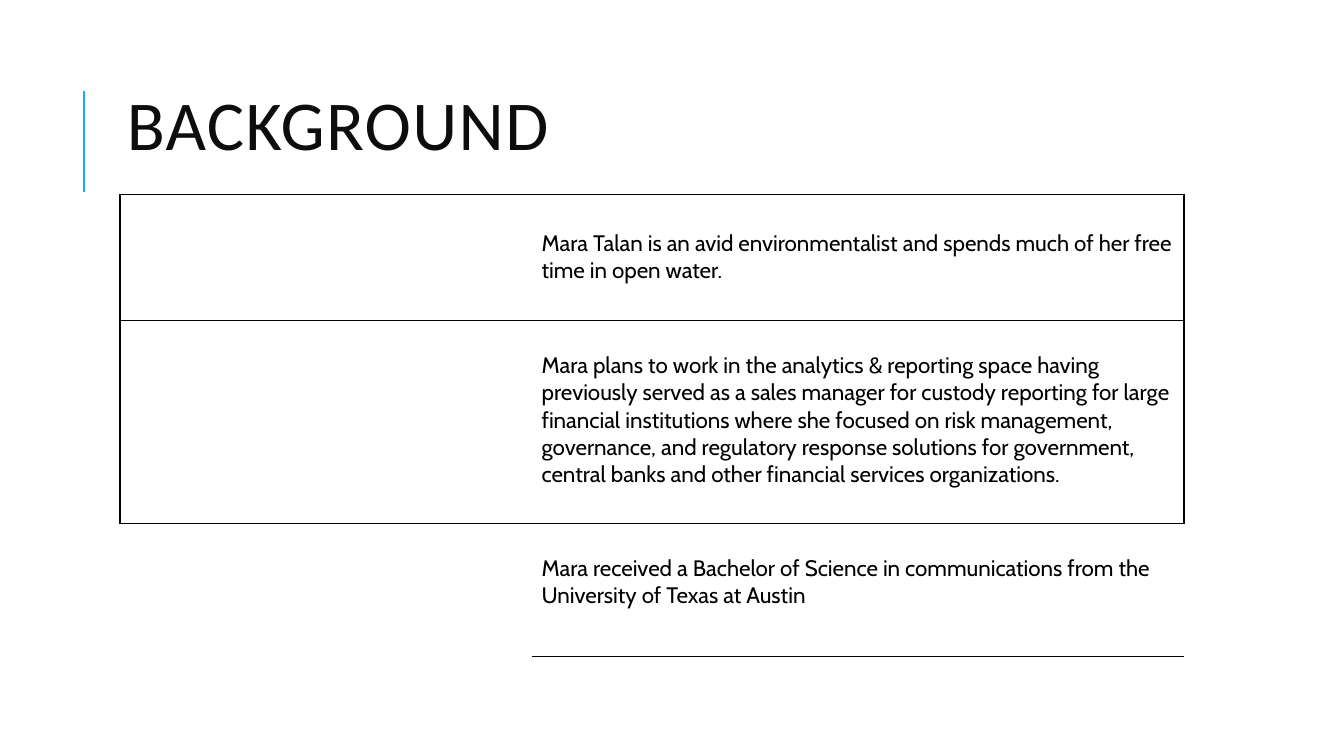
from pptx import Presentation
from pptx.dml.color import RGBColor
from pptx.enum.shapes import MSO_CONNECTOR
from pptx.enum.text import MSO_ANCHOR
from pptx.oxml.ns import qn
from pptx.util import Pt
from lxml import etree

STRAIGHT = MSO_CONNECTOR.STRAIGHT
MIDDLE = MSO_ANCHOR.MIDDLE
TOP = MSO_ANCHOR.TOP

TITLE = "BACKGROUND"
ROWS = [
    {"text": "Mara Talan is an avid environmentalist and spends much of her free time in open water.",
     "height": 90, "inset": 25.5, "borders": ("LTB", "TRB")},
    {"text": "Mara plans to work in the analytics & reporting space having previously served as a "
             "sales manager for custody reporting for large financial institutions where she focused "
             "on risk management, governance, and regulatory response solutions for government, "
             "central banks and other financial services organizations.",
     "height": 145, "inset": 23, "borders": ("LTB", "TRB")},
    {"text": "Mara received a Bachelor of Science in communications from the University of Texas at Austin",
     "height": 95, "inset": 23, "borders": ("T", "TB")},
]
COLUMN_WIDTHS = (294, 466)
TABLE_LEFT, TABLE_TOP = 85.7, 138.7

THEME = {
    "accent": RGBColor(0x1C, 0xAD, 0xE4),
    "title": RGBColor(0x0D, 0x0D, 0x0D),
    "text": RGBColor(0, 0, 0),
    "border": "000000",
    "title_font": "Calibri",
    "body_font": "Cabin",
    "title_size": 50,
    "body_size": 16,
}


def style_font(font, name, size, color):
    font.name = name
    font.size = Pt(size)
    font.color.rgb = color


def set_borders(cell, visible_sides):
    properties = cell._tc.get_or_add_tcPr()
    for position, side in enumerate("LRTB"):
        line = etree.Element(qn(f"a:ln{side}"), w=str(Pt(1)))
        if side in visible_sides:
            fill = etree.SubElement(line, qn("a:solidFill"))
            etree.SubElement(fill, qn("a:srgbClr"), val=THEME["border"])
        else:
            etree.SubElement(line, qn("a:noFill"))
        properties.insert(position, line)


def add_accent(slide):
    accent = slide.shapes.add_connector(STRAIGHT, Pt(60), Pt(137), Pt(60), Pt(65))
    accent.line.color.rgb = THEME["accent"]
    accent.line.width = Pt(1.5)
    etree.SubElement(accent._element.spPr, qn("a:effectLst"))


def add_title(slide):
    box = slide.shapes.add_textbox(Pt(83.5), Pt(57.6), Pt(765.4), Pt(70.6))
    frame = box.text_frame
    frame.word_wrap = True
    frame.vertical_anchor = MIDDLE
    paragraph = frame.paragraphs[0]
    paragraph.line_spacing = 0.8
    style_font(paragraph.font, THEME["title_font"], THEME["title_size"], THEME["title"])
    run = paragraph.add_run()
    run.text = TITLE
    run._r.get_or_add_rPr().set("spc", "100")


def add_background_table(slide):
    height = sum(row["height"] for row in ROWS)
    table = slide.shapes.add_table(
        len(ROWS), len(COLUMN_WIDTHS), Pt(TABLE_LEFT), Pt(TABLE_TOP),
        Pt(sum(COLUMN_WIDTHS)), Pt(height)).table
    table.first_row = False
    table.horz_banding = False
    for column, width in zip(table.columns, COLUMN_WIDTHS):
        column.width = Pt(width)
    for table_row, row in zip(table.rows, ROWS):
        table_row.height = Pt(row["height"])
        for cell, sides in zip(table_row.cells, row["borders"]):
            cell.fill.background()
            set_borders(cell, sides)
        text_cell = table_row.cells[1]
        text_cell.vertical_anchor = TOP
        text_cell.margin_top = Pt(row["inset"])
        paragraph = text_cell.text_frame.paragraphs[0]
        paragraph.text = row["text"]
        style_font(paragraph.font, THEME["body_font"], THEME["body_size"], THEME["text"])


def main():
    presentation = Presentation()
    presentation.slide_width = Pt(960)
    presentation.slide_height = Pt(540)
    slide = presentation.slides.add_slide(presentation.slide_layouts[6])
    add_accent(slide)
    add_title(slide)
    add_background_table(slide)
    presentation.save("out.pptx")


if __name__ == "__main__":
    main()
